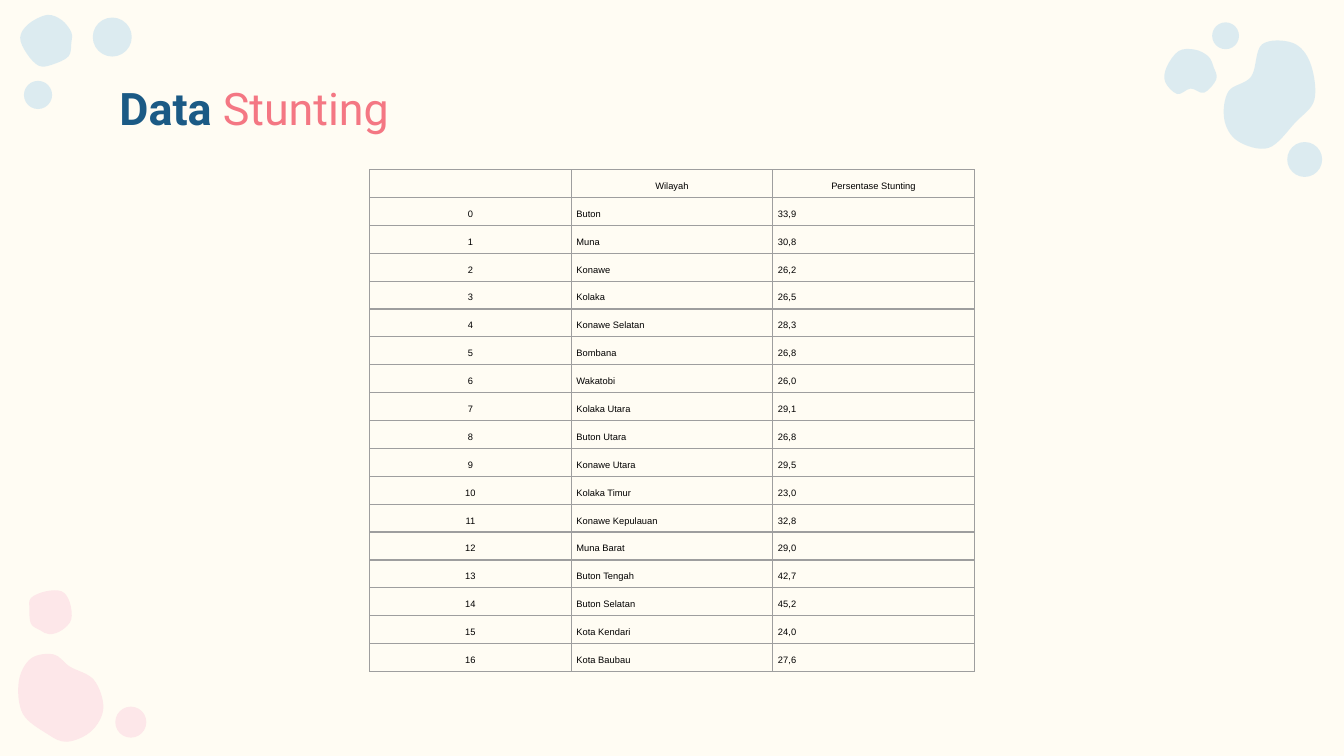
import lxml.etree
import pptx
import pptx.dml.color
import pptx.enum.shapes
import pptx.enum.text
import pptx.oxml.ns
import pptx.util

Pt = pptx.util.Pt
RGBColor = pptx.dml.color.RGBColor
ALIGN = pptx.enum.text.PP_ALIGN
MSO_ANCHOR = pptx.enum.text.MSO_ANCHOR
qn = pptx.oxml.ns.qn

CREAM = RGBColor(0xFF, 0xFC, 0xF3)
PINK = RGBColor(0xFD, 0xE7, 0xE9)
BLUE = RGBColor(0xA0, 0xCF, 0xED)
NAVY = RGBColor(0x1B, 0x5A, 0x85)
CORAL = RGBColor(0xF4, 0x77, 0x83)
GREY = RGBColor(0x9E, 0x9E, 0x9E)
BLACK = RGBColor(0, 0, 0)

PINK_BLOBS = [
    [(16.2, 77.1), (27, 81.4), (40, 75.7), (46.4, 63.4), (41.4, 48.3),
     (28.4, 41.1), (19.8, 34.6), (7.6, 36.8), (1.1, 49), (3.2, 66.3)],
    [(29.2, 15.9), (28.4, 6.6), (24.1, 0.8), (15.5, 0.8), (7.6, 4.4),
     (6.8, 10.2), (7.6, 18.1), (12.6, 21.7), (17.6, 23.8), (24.1, 21.7)],
]
RIGHT_BLOBS = [
    [(80.2, 41.3), (78, 21.8), (68.6, 11), (52.1, 11.8), (46.3, 29),
     (34.1, 37), (31.9, 52.1), (39.1, 63.6), (55.7, 67.2), (70.1, 53.5)],
    [(7.4, 15.4), (1, 24), (0.2, 31.9), (6.7, 38.4), (13.9, 35.5),
     (21.1, 37.7), (27.6, 30.5), (26.2, 24), (23.3, 18.2), (16.1, 14.6)],
]
LEFT_BLOBS = [
    [(15.2, 0), (5.1, 5), (0.8, 12.2), (4.4, 20.8), (10.9, 27.3),
     (18.1, 26.6), (26.7, 22.2), (28.2, 15), (28.2, 9.3), (23.1, 2.8)],
]
PINK_DOTS = [(52.8, 62.6, 16.6)]
RIGHT_DOTS = [(65.6, 64.1, 18.7), (25.4, 0, 14.4)]
LEFT_DOTS = [(39.7, 1.4, 20.9), (2.8, 35.3, 15.1)]

REGIONS = [
    ("Buton", "33,9"), ("Muna", "30,8"), ("Konawe", "26,2"),
    ("Kolaka", "26,5"), ("Konawe Selatan", "28,3"), ("Bombana", "26,8"),
    ("Wakatobi", "26,0"), ("Kolaka Utara", "29,1"), ("Buton Utara", "26,8"),
    ("Konawe Utara", "29,5"), ("Kolaka Timur", "23,0"),
    ("Konawe Kepulauan", "32,8"), ("Muna Barat", "29,0"),
    ("Buton Tengah", "42,7"), ("Buton Selatan", "45,2"),
    ("Kota Kendari", "24,0"), ("Kota Baubau", "27,6"),
]


def round_outline(sp, points):
    """Turn a closed polygon into smooth cubic curves through its points."""
    outline = sp._element.spPr.find(".//" + qn("a:path"))
    for child in list(outline)[1:]:
        outline.remove(child)
    local = [(x - sp.left, y - sp.top) for x, y in points]
    n = len(local)
    for i in range(n):
        a, b, c, d = (local[(i + k) % n] for k in (-1, 0, 1, 2))
        first = [q + (r - p) / 6 for p, q, r in zip(a, b, c)]
        second = [q - (r - p) / 6 for p, q, r in zip(b, c, d)]
        curve = lxml.etree.SubElement(outline, qn("a:cubicBezTo"))
        for x, y in (first, second, c):
            lxml.etree.SubElement(curve, qn("a:pt"), x=str(round(x)),
                                  y=str(round(y)))
    lxml.etree.SubElement(outline, qn("a:close"))


def paint(sp, color, alpha):
    """Fill a shape without outline or shadow at the given opacity percent."""
    sp.shadow.inherit = False
    sp.line.fill.background()
    sp.fill.solid()
    sp.fill.fore_color.rgb = color
    if alpha < 100:
        clr = sp._element.spPr.find(qn("a:solidFill"))[0]
        lxml.etree.SubElement(clr, qn("a:alpha"), val=str(alpha * 1000))


def add_corner(s, left, top, blobs, dots, color, alpha=100):
    """Place a group of blobs and dots from its top-left corner."""
    shapes = s.shapes.add_group_shape().shapes
    for anchors in blobs:
        points = [(Pt(left + x), Pt(top + y)) for x, y in anchors]
        fb = shapes.build_freeform(*points[0])
        fb.add_line_segments(points[1:], close=True)
        sp = fb.convert_to_shape()
        round_outline(sp, points)
        paint(sp, color, alpha)
    for x, y, size in dots:
        sp = shapes.add_shape(pptx.enum.shapes.MSO_SHAPE.OVAL, Pt(left + x),
                              Pt(top + y), Pt(size), Pt(size))
        paint(sp, color, alpha)


def add_title(s, left, top, width, height):
    """Place the two-colour title in its box."""
    sp = s.shapes.add_textbox(Pt(left), Pt(top), Pt(width), Pt(height))
    tf = sp.text_frame
    tf.word_wrap = True
    tf.vertical_anchor = MSO_ANCHOR.TOP
    tf.margin_left = tf.margin_right = Pt(7.2)
    tf.margin_top = tf.margin_bottom = Pt(7.2)
    for text, color, bold in (("Data ", NAVY, True), ("Stunting", CORAL, False)):
        r = tf.paragraphs[0].add_run()
        r.text = text
        r.font.name = "Roboto"
        r.font.size = Pt(24)
        r.font.bold = bold
        r.font.color.rgb = color


def add_borders(cell):
    """Draw a thin grey line on each side of a cell."""
    tcPr = cell._tc.get_or_add_tcPr()
    for i, side in enumerate(("lnL", "lnR", "lnT", "lnB")):
        ln = tcPr.makeelement(qn("a:" + side), {"w": str(Pt(0.75))})
        fill = lxml.etree.SubElement(ln, qn("a:solidFill"))
        lxml.etree.SubElement(fill, qn("a:srgbClr"), val=str(GREY))
        tcPr.insert(i, ln)


def fill_cell(cell, text, align):
    """Write and format one table cell."""
    cell.fill.background()
    add_borders(cell)
    cell.vertical_anchor = MSO_ANCHOR.MIDDLE
    cell.margin_left = cell.margin_right = Pt(2.8)
    cell.margin_top = cell.margin_bottom = Pt(2.8)
    cell.text_frame.text = text
    p = cell.text_frame.paragraphs[0]
    p.alignment = align
    p.line_spacing = 1.5
    for r in p.runs:
        r.font.name = "Arial"
        r.font.size = Pt(5)
        r.font.color.rgb = BLACK
    if not text:
        p._p.get_or_add_endParaRPr().set("sz", "500")


def add_region_table(s, left, top, width, height):
    """Place the numbered table of regions and percentages."""
    rows = [("", "Wilayah", "Persentase Stunting")]
    rows += [(str(i), *region) for i, region in enumerate(REGIONS)]
    tbl = s.shapes.add_table(len(rows), 3, Pt(left), Pt(top), Pt(width),
                             Pt(height)).table
    tbl.first_row = tbl.horz_banding = False
    for col in tbl.columns:
        col.width = Pt(width / 3)
    for i, row in enumerate(rows):
        tbl.rows[i].height = Pt(height / len(rows))
        for j, text in enumerate(row):
            centred = i == 0 or j == 0
            fill_cell(tbl.cell(i, j), text,
                      ALIGN.CENTER if centred else ALIGN.LEFT)


def main():
    """Build and save the slide."""
    prs = pptx.Presentation()
    prs.slide_width, prs.slide_height = Pt(720), Pt(405)
    s = prs.slides.add_slide(prs.slide_layouts[6])
    s.background.fill.solid()
    s.background.fill.fore_color.rgb = CREAM
    add_corner(s, 9, 316, PINK_BLOBS, PINK_DOTS, PINK)
    add_corner(s, 624, 12, RIGHT_BLOBS, RIGHT_DOTS, BLUE, 36)
    add_corner(s, 10, 8, LEFT_BLOBS, LEFT_DOTS, BLUE, 36)
    add_title(s, 56.9, 36, 607, 45.4)
    add_region_table(s, 198, 90.85, 324, 269.28)
    prs.save("out.pptx")


if __name__ == "__main__":
    main()
